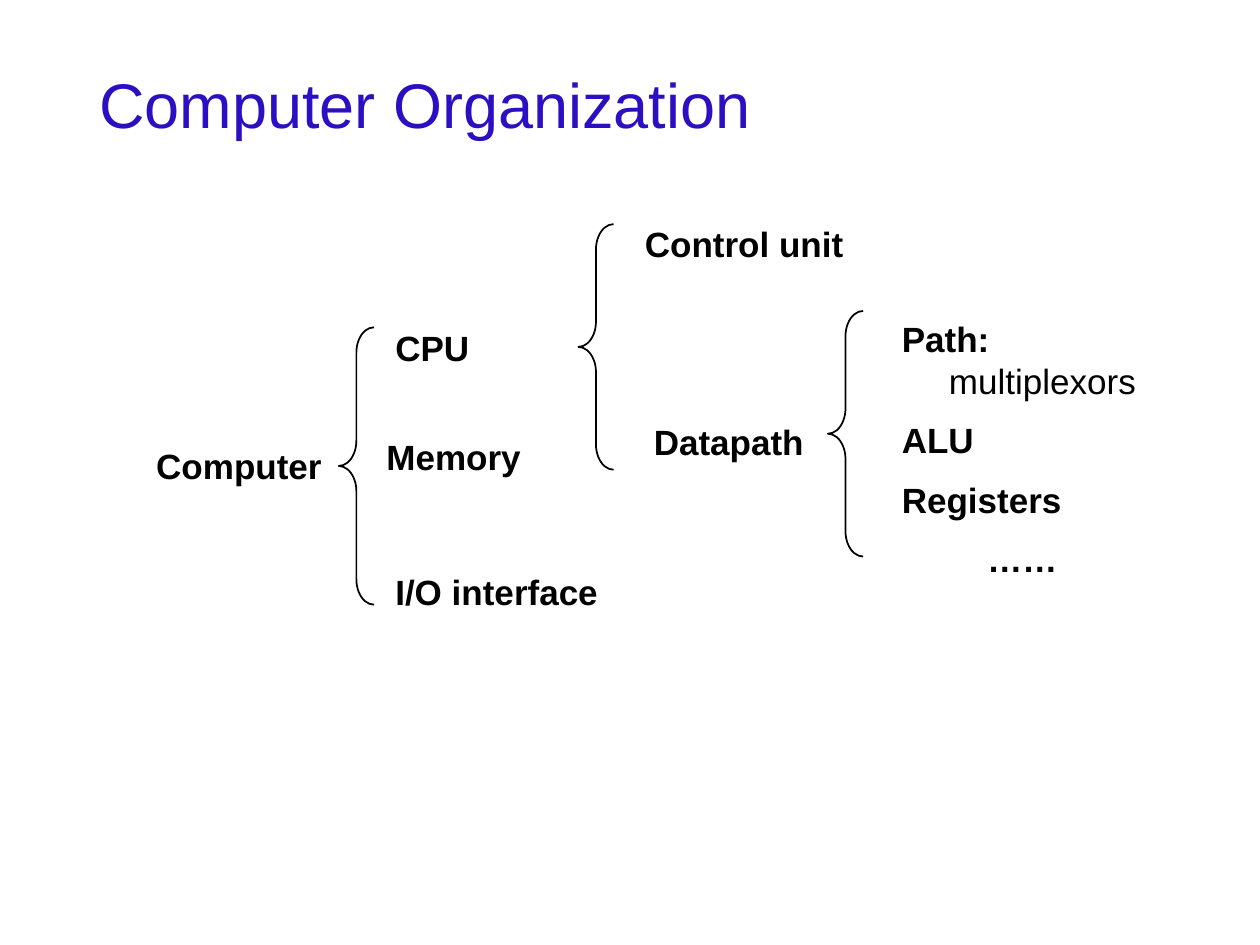
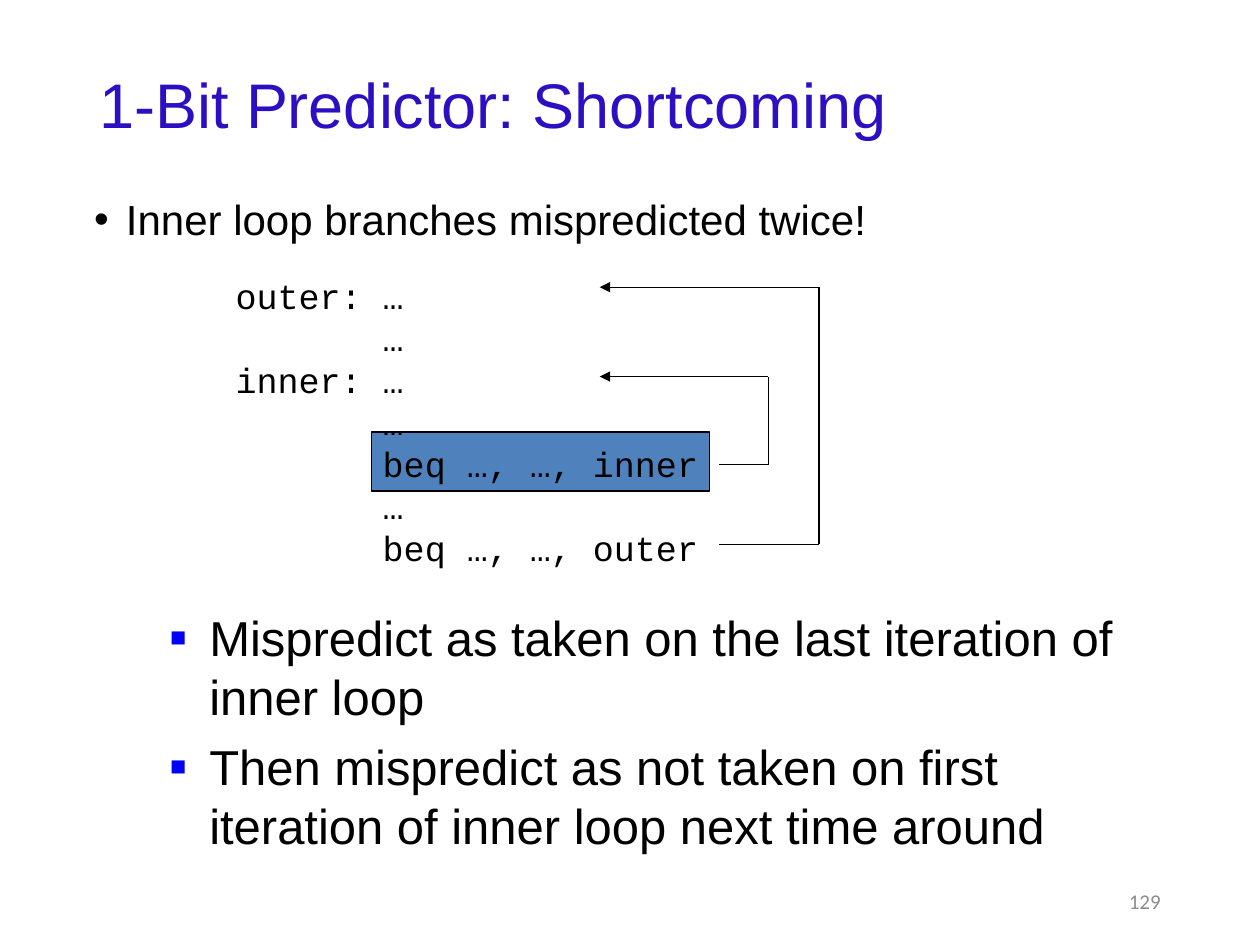
from dataclasses import dataclass
from typing import Optional

from lxml import etree
from pptx import Presentation
from pptx.dml.color import RGBColor
from pptx.enum.shapes import MSO_CONNECTOR, MSO_SHAPE
from pptx.enum.text import MSO_ANCHOR, PP_ALIGN
from pptx.oxml.ns import qn
from pptx.util import Cm, Pt

BLACK = RGBColor(0x00, 0x00, 0x00)
TITLE_BLUE = RGBColor(0x2D, 0x0F, 0xC3)
HIGHLIGHT_BLUE = RGBColor(0x4F, 0x81, 0xBD)
BULLET_BLUE = RGBColor(0x00, 0x00, 0xFF)
NUMBER_GRAY = RGBColor(0x8C, 0x8C, 0x8C)
BODY_FONT = "Arial"
CODE_FONT = "Courier New"
NUMBER_FONT = "Calibri"
STRAIGHT = MSO_CONNECTOR.STRAIGHT
LEFT_BRACE = MSO_SHAPE.LEFT_BRACE
RECTANGLE = MSO_SHAPE.RECTANGLE
MIDDLE = MSO_ANCHOR.MIDDLE
TOP = MSO_ANCHOR.TOP
LEFT = PP_ALIGN.LEFT
CENTER = PP_ALIGN.CENTER
RIGHT = PP_ALIGN.RIGHT
LINE_HEIGHT = 1.2
BRACE_WIDTH = 0.71
BRACE_CURVE = 0.51
LOOP_START = 14.5
LOOP_END = 12.09


@dataclass(frozen=True)
class Box:
    left: float
    top: float
    width: float
    height: float

    def lengths(self) -> tuple[Cm, Cm, Cm, Cm]:
        return Cm(self.left), Cm(self.top), Cm(self.width), Cm(self.height)


@dataclass(frozen=True)
class TextStyle:
    size: float
    color: RGBColor = BLACK
    font: str = BODY_FONT
    bold: bool = False
    line_spacing: Optional[float | Pt] = None
    space_before: float = 0
    margin: float = 0
    hanging: float = 0
    bullet: str = ""
    bullet_color: RGBColor = BLACK
    bullet_percent: int = 100


@dataclass(frozen=True)
class Label:
    box: Box
    lines: tuple[str, ...]


@dataclass(frozen=True)
class Brace:
    left: float
    top: float
    height: float


@dataclass(frozen=True)
class Loop:
    branch: float
    turn: float
    target: float


TITLE_BOX = Box(1.75, 1.02, 21.9, 2.31)
TITLE_STYLE = TextStyle(36, TITLE_BLUE, line_spacing=0.9)
LABEL_STYLE = TextStyle(20, bold=True, line_spacing=Pt(20 * LINE_HEIGHT),
                        space_before=10, margin=0.95, hanging=0.95)
BODY_STYLE = TextStyle(24, line_spacing=0.9, margin=0.64, hanging=0.64, bullet="•")
POINT_STYLE = TextStyle(28, line_spacing=Pt(28 * LINE_HEIGHT), space_before=6.7,
                        margin=2.06, hanging=0.79, bullet="■",
                        bullet_color=BULLET_BLUE, bullet_percent=55)
CODE_STYLE = TextStyle(20, font=CODE_FONT, line_spacing=Pt(20 * LINE_HEIGHT))
NUMBER_STYLE = TextStyle(12, NUMBER_GRAY, NUMBER_FONT)

LABELS = (
    Label(Box(2.9, 8.84, 4.47, 1.12), ("Computer",)),
    Label(Box(7.72, 6.45, 3.23, 1.12), ("CPU",)),
    Label(Box(7.54, 8.66, 4.11, 1.12), ("Memory",)),
    Label(Box(7.72, 11.38, 5.0, 2.82), ("I/O interface",)),
    Label(Box(12.75, 4.37, 5.36, 1.12), ("Control unit",)),
    Label(Box(12.93, 8.36, 3.94, 1.96), ("Datapath",)),
)
DATAPATH_PARTS = Label(Box(17.93, 6.27, 5.36, 6.68),
                       ("Path: ", "ALU", "Registers", "……"))
BRACES = (Brace(6.83, 6.6, 5.59), Brace(11.66, 4.52, 4.95), Brace(16.69, 6.27, 4.95))

CODE_LINES = (
    "outer: …",
    "       …",
    "inner: …",
    "       …",
    "       beq …, …, inner",
    "       …",
    "       beq …, …, outer",
)
MISPREDICTIONS = (
    "Mispredict as taken on the last iteration of inner loop",
    "Then mispredict as not taken on first iteration of inner loop next time around",
)
LOOPS = (Loop(9.37, 15.49, 7.59), Loop(10.97, 16.51, 5.79))


def add_bullet(properties, style: TextStyle) -> None:
    color = etree.SubElement(properties, qn("a:buClr"))
    etree.SubElement(color, qn("a:srgbClr"), val=str(style.bullet_color))
    etree.SubElement(properties, qn("a:buSzPct"), val=str(style.bullet_percent * 1000))
    etree.SubElement(properties, qn("a:buFont"), typeface=BODY_FONT)
    etree.SubElement(properties, qn("a:buChar"), char=style.bullet)


def format_paragraph(paragraph, style: TextStyle, first: bool, alignment=LEFT) -> None:
    properties = paragraph._p.get_or_add_pPr()
    properties.set("marL", str(Cm(style.margin)))
    properties.set("indent", str(-Cm(style.hanging)))
    if style.bullet:
        add_bullet(properties, style)
    paragraph.alignment = alignment
    paragraph.line_spacing = style.line_spacing
    paragraph.space_before = Pt(0 if first else style.space_before)
    paragraph.font.name = style.font
    paragraph.font.size = Pt(style.size)
    paragraph.font.bold = style.bold
    paragraph.font.color.rgb = style.color


def add_text(slide, box: Box, lines: tuple[str, ...], style: TextStyle,
             anchor=TOP, alignment=LEFT, wrap: bool = True):
    frame = slide.shapes.add_textbox(*box.lengths()).text_frame
    frame.word_wrap = wrap
    frame.vertical_anchor = anchor
    for index, line in enumerate(lines):
        paragraph = frame.add_paragraph() if index else frame.paragraphs[0]
        paragraph.add_run().text = line
        format_paragraph(paragraph, style, index == 0, alignment)
    return frame


def add_titled_slide(presentation, title: str):
    slide = presentation.slides.add_slide(presentation.slide_layouts[6])
    add_text(slide, TITLE_BOX, (title,), TITLE_STYLE, anchor=MIDDLE)
    return slide


def add_outlined_shape(slide, kind, box: Box, line_width: float):
    shape = slide.shapes.add_shape(kind, *box.lengths())
    shape.shadow.inherit = False
    shape.line.color.rgb = BLACK
    shape.line.width = Pt(line_width)
    return shape


def add_brace(slide, brace: Brace) -> None:
    box = Box(brace.left, brace.top, BRACE_WIDTH, brace.height)
    shape = add_outlined_shape(slide, LEFT_BRACE, box, 1)
    shape.fill.background()
    shape.adjustments[0] = BRACE_CURVE / BRACE_WIDTH
    shape.adjustments[1] = 0.5


def add_line(slide, start: tuple[float, float], end: tuple[float, float],
             arrow: bool) -> None:
    connector = slide.shapes.add_connector(
        STRAIGHT, Cm(start[0]), Cm(start[1]), Cm(end[0]), Cm(end[1]))
    connector.line.color.rgb = BLACK
    connector.line.width = Pt(0.75)
    if arrow:
        outline = connector.line._get_or_add_ln()
        etree.SubElement(outline, qn("a:tailEnd"), type="triangle")
    etree.SubElement(connector._element.spPr, qn("a:effectLst"))


def add_loop(slide, loop: Loop) -> None:
    corners = ((LOOP_START, loop.branch), (loop.turn, loop.branch),
               (loop.turn, loop.target), (LOOP_END, loop.target))
    for start, end in zip(corners, corners[1:]):
        add_line(slide, start, end, arrow=end == corners[-1])


def build_organization_slide(presentation) -> None:
    slide = add_titled_slide(presentation, "Computer Organization")
    for label in LABELS:
        add_text(slide, label.box, label.lines, LABEL_STYLE)
    parts = add_text(slide, DATAPATH_PARTS.box, DATAPATH_PARTS.lines, LABEL_STYLE)
    multiplexors = parts.paragraphs[0].add_run()
    multiplexors.text = "multiplexors"
    multiplexors.font.bold = False
    parts.paragraphs[-1].alignment = CENTER
    for brace in BRACES:
        add_brace(slide, brace)


def build_predictor_slide(presentation) -> None:
    slide = add_titled_slide(presentation, "1-Bit Predictor: Shortcoming")
    add_text(slide, Box(1.65, 3.89, 21.9, 1.4),
             ("Inner loop branches mispredicted twice!",), BODY_STYLE)
    add_text(slide, Box(17.93, 17.65, 5.72, 1.02), ("129",), NUMBER_STYLE,
             anchor=MIDDLE, alignment=RIGHT)
    highlight = add_outlined_shape(slide, RECTANGLE, Box(7.49, 8.71, 6.81, 1.19), 0.75)
    highlight.fill.solid()
    highlight.fill.fore_color.rgb = HIGHLIGHT_BLUE
    add_text(slide, Box(4.5, 5.4, 9.91, 6.25), CODE_LINES, CODE_STYLE, wrap=False)
    for loop in LOOPS:
        add_loop(slide, loop)
    add_text(slide, Box(1.91, 12.12, 21.59, 5.21), MISPREDICTIONS, POINT_STYLE)


def main() -> None:
    presentation = Presentation()
    presentation.slide_width = Cm(25.4)
    presentation.slide_height = Cm(19.05)
    build_organization_slide(presentation)
    build_predictor_slide(presentation)
    presentation.save("out.pptx")


if __name__ == "__main__":
    main()
